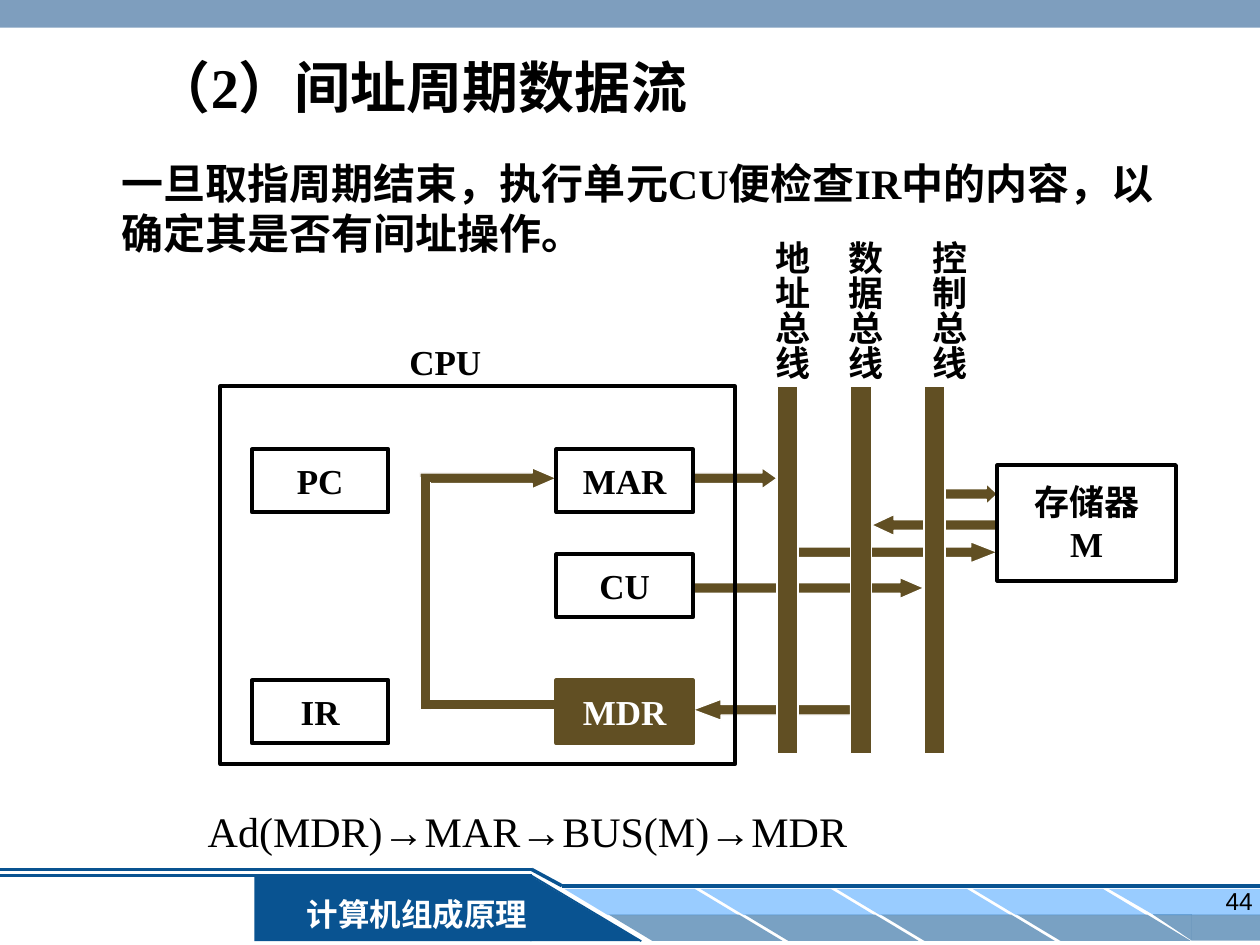
from pptx import Presentation
from pptx.dml.color import RGBColor
from pptx.enum.shapes import MSO_CONNECTOR, MSO_SHAPE
from pptx.enum.text import MSO_ANCHOR, PP_ALIGN
from pptx.oxml.ns import qn
from pptx.util import Inches, Pt
from lxml import etree

RECT, ARROW = MSO_SHAPE.RECTANGLE, MSO_SHAPE.RIGHT_ARROW
SLANT, WEDGE = MSO_SHAPE.PARALLELOGRAM, MSO_SHAPE.RIGHT_TRIANGLE
STRAIGHT = MSO_CONNECTOR.STRAIGHT
LEFT, CENTER, RIGHT = PP_ALIGN.LEFT, PP_ALIGN.CENTER, PP_ALIGN.RIGHT
TOP, MIDDLE = MSO_ANCHOR.TOP, MSO_ANCHOR.MIDDLE

COLORS = {"navy": "095391", "sky": "99CCFF", "banner": "336699",
          "brown": "614F23", "black": "000000", "white": "FFFFFF"}

# Grid of 120 columns by 90 rows, twelve to the inch
UNIT = Inches(1) / 12
DIAGRAM = 36.8  # row where the CPU frame and the buses start

prs = Presentation()
prs.slide_width, prs.slide_height = Inches(10), Inches(7.5)
slide = prs.slides.add_slide(prs.slide_layouts[6])


def block(preset, col, row, cols, rows, fill=None, line=None, weight=0.75,
          alpha=None, flip=(), adjust=()):
    shape = slide.shapes.add_shape(
        preset, *(round(n * UNIT) for n in (col, row, cols, rows)))
    shape.shadow.inherit = False
    if fill:
        shape.fill.solid()
        shape.fill.fore_color.rgb = RGBColor.from_string(COLORS[fill])
    else:
        shape.fill.background()
    if alpha:
        color = shape._element.spPr.find(qn("a:solidFill"))[0]
        etree.SubElement(color, qn("a:alpha"), val=str(alpha * 1000))
    if line:
        shape.line.color.rgb = RGBColor.from_string(COLORS[line])
        shape.line.width = Pt(weight)
    else:
        shape.line.fill.background()
    for axis in flip:
        shape._element.spPr.xfrm.set("flip" + axis, "1")
    for index, value in enumerate(adjust):
        shape.adjustments[index] = value
    return shape


def write(text, shape=None, at=None, size=20, color="black", bold=True,
          font="Times New Roman", align=LEFT, anchor=TOP, wrap=False,
          vertical=False):
    shape = shape or slide.shapes.add_textbox(*(round(n * UNIT) for n in at))
    frame = shape.text_frame
    frame.word_wrap, frame.vertical_anchor = wrap, anchor
    if vertical:
        frame._txBody.bodyPr.set("vert", "eaVert")
        frame.margin_left = frame.margin_right = Inches(0.05)
        frame.margin_top = frame.margin_bottom = Inches(0.1)
    frame.text = text
    for paragraph in frame.paragraphs:
        paragraph.alignment = align
        paragraph.font.size, paragraph.font.bold = Pt(size), bold
        paragraph.font.name = font
        paragraph.font.color.rgb = RGBColor.from_string(COLORS[color])


# Top banner
block(RECT, 0, 0, 120, 2.64, "banner", alpha=63)

# Footer: course name tab
block(RECT, 24.24, 83.4, 26.4, 6.24, "navy")
block(WEDGE, 50.5, 83.4, 10.5, 6.24, "navy")
write("计算机组成原理", at=(27.4, 84.6, 24.6, 4.8), size=18, color="white",
      align=CENTER, anchor=MIDDLE, wrap=True)

# Footer: two rows of slanted tiles, each closed by a wedge and a bar
for tint, alpha, col, row, wedge_cols in (("sky", None, 53.76, 84.66, 4.32),
                                          ("navy", 54, 57.96, 87.1, 3.72)):
    for tile in range(4):
        block(SLANT, col + 12.96 * tile, row, 16.56, 2.5, tint,
              alpha=alpha, flip="H", adjust=[1.66])
    wedge = col + 51.84
    block(WEDGE, wedge, row, wedge_cols, 2.5, tint, alpha=alpha, flip="HV")
    block(RECT, wedge + wedge_cols, row, 120 - wedge - wedge_cols, 2.5, tint,
          alpha=alpha)

# Footer: rules
for x1, y1, x2, y2, weight in ((61.08, 89.64, 50.64, 83.4, 1),
                               (50.64, 83.4, 0, 83.4, 1.5),
                               (0, 82.8, 50.64, 82.8, 2),
                               (50.64, 82.8, 53.52, 84.36, 2),
                               (53.52, 84.36, 120, 84.36, 2)):
    rule = slide.shapes.add_connector(
        STRAIGHT, *(round(n * UNIT) for n in (x1, y1, x2, y2)))
    rule.line.color.rgb = RGBColor.from_string(COLORS["navy"])
    rule.line.width = Pt(weight)
    etree.SubElement(rule._element.spPr, qn("a:effectLst"))

write("44", at=(92.5, 83.8, 28, 6), size=14, bold=False, font="Arial",
      align=RIGHT, wrap=True)

# Heading and explanation
write("（2）间址周期数据流", at=(13.56, 4.4, 75, 7.7), size=32, wrap=True)
write("一旦取指周期结束，执行单元CU便检查IR中的内容，以确定其是否有间址操作。",
      at=(10.44, 14.4, 102, 10.8), size=24, wrap=True)

# Data flow arrows: column, row, length, head ratio, pointing left
for col, row, length, head, leftward in ((83, 12.2, 12, 1.07, True),
                                         (66, 18.2, 22, 1.15, False),
                                         (66, 7.75, 8, 0.71, False),
                                         (76, 14.8, 19, 1.27, False),
                                         (66, 29.8, 15, 1.33, True),
                                         (40, 7.75, 13, 1.16, False),
                                         (89, 9.25, 6, 0.53, False)):
    arrow = block(ARROW, col, DIAGRAM + row, length, 2, "brown", "white",
                  adjust=[0.5, head])
    arrow.rotation = 180 if leftward else 0

# Path from MDR up to MAR, with its two corners filled in
for col, row, cols, rows, edge in ((40, 29.8, 13, 1, "white"),
                                   (40, 8.7, 1, 22.1, "white"),
                                   (40.3, 29.95, 0.8, 0.7, "brown"),
                                   (40.15, 8.4, 1.7, 0.7, "brown")):
    block(RECT, col, DIAGRAM + row, cols, rows, "brown", edge)

# Buses
for name, col, label_col in (("地址总线", 74, 71.6), ("数据总线", 81, 78.6),
                             ("控制总线", 88, 86.6)):
    block(RECT, col, DIAGRAM, 2, 35, "brown", "white")
    write(name, at=(label_col, 21.75, 6.4, 14.6), vertical=True)

# CPU frame, registers and memory
block(RECT, 21, DIAGRAM, 49, 36, line="black", weight=2.25)
write("CPU", at=(37.8, 31.8, 15, 5), wrap=True)
for name, col, row, cols, rows in (("PC", 24, 6, 13, 6), ("IR", 24, 28, 13, 6),
                                   ("MAR", 53, 6, 13, 6), ("CU", 53, 16, 13, 6),
                                   ("MDR", 53, 28, 13, 6),
                                   ("存储器\nM", 95, 7.5, 17, 11)):
    active = name == "MDR"
    unit_box = block(RECT, col, DIAGRAM + row, cols, rows,
                     fill="brown" if active else None,
                     line="brown" if active else "black", weight=2.25)
    write(name, unit_box, color="white" if active else "black",
          align=CENTER, anchor=MIDDLE)

# Transfer sequence
write("Ad(MDR)→MAR→BUS(M)→MDR", at=(18.6, 76.15, 76, 6), size=24, bold=False,
      wrap=True)

prs.save("out.pptx")
